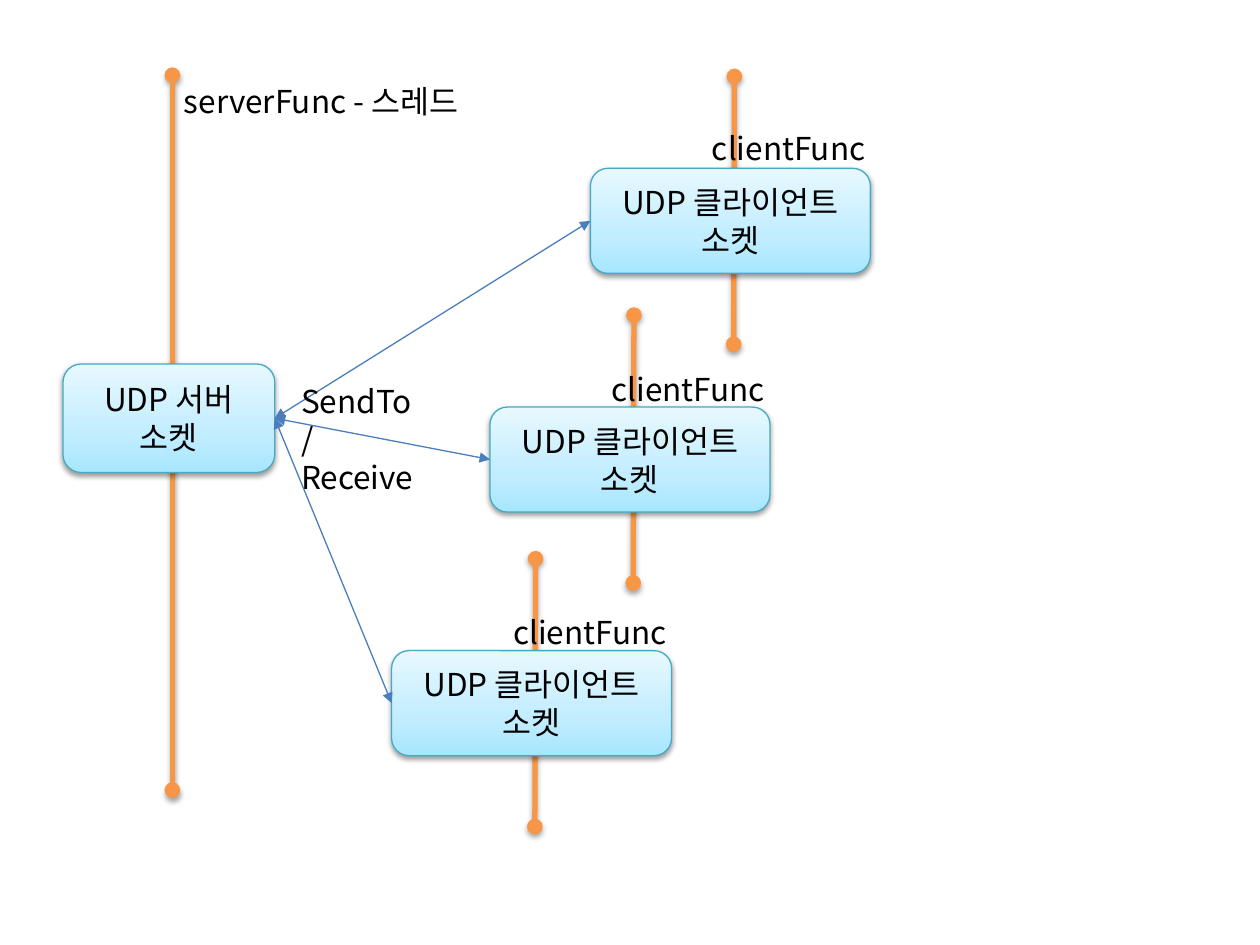
from lxml import etree
from pptx import Presentation
from pptx import util as u
from pptx.dml.color import RGBColor
from pptx.enum import shapes, text
from pptx.oxml import ns

ORANGE = RGBColor(0xF7, 0x96, 0x46)
BLUE = RGBColor(0x4B, 0x7E, 0xBC)
TEAL = RGBColor(0x46, 0xAA, 0xC5)
BLACK = RGBColor(0, 0, 0)
BOX_STOPS = [
    (0, RGBColor(0xA7, 0xE6, 0xFF)),
    (35, RGBColor(0xC1, 0xED, 0xFF)),
    (100, RGBColor(0xE7, 0xF8, 0xFF)),
]
FONT = "Noto Sans CJK KR"
TEXT_FORMAT = {"name": FONT, "size": u.Pt(18)}
CLIENT_SIZE = (160, 60)


def add_xml(parent, tag, **values):
    return etree.SubElement(parent, ns.qn(tag), values)


def set_shadow(shape, opacity=None, distance=None):
    effects = add_xml(shape._element.spPr, "a:effectLst")
    if opacity:
        shadow = add_xml(effects, "a:outerShdw", blurRad=str(u.Pt(3.1)),
                         dist=str(u.Pt(distance)), dir="5400000", rotWithShape="0")
        color = add_xml(shadow, "a:srgbClr", val=str(BLACK))
        add_xml(color, "a:alpha", val=str(opacity * 1000))


def write(shape, words, **frame_format):
    frame = shape.text_frame
    for name, value in frame_format.items():
        setattr(frame, name, value)
    para = frame.paragraphs[0]
    span = para.add_run()
    span.text = words
    for name, value in TEXT_FORMAT.items():
        setattr(span.font, name, value)
    span.font.color.rgb = BLACK
    add_xml(span._r.get_or_add_rPr(), "a:ea", typeface=FONT)
    return para


def add_label(page, words, left, top, width, height):
    label = page.shapes.add_textbox(*map(u.Pt, (left, top, width, height)))
    write(label, words, word_wrap=True)


def add_line(page, ends, color, weight, marker):
    line = page.shapes.add_connector(shapes.MSO_CONNECTOR.STRAIGHT, *map(u.Pt, ends))
    line.line.color.rgb = color
    line.line.width = u.Pt(weight)
    outline = line.line._get_or_add_ln()
    for end in ("a:headEnd", "a:tailEnd"):
        add_xml(outline, end, type=marker)
    return line


def add_lifeline(page, ends):
    set_shadow(add_line(page, ends, ORANGE, 3, "oval"), 35, 1.8)


def add_socket(page, words, left, top, width, height):
    socket = page.shapes.add_shape(shapes.MSO_SHAPE.ROUNDED_RECTANGLE,
                                   *map(u.Pt, (left, top, width, height)))
    gradient = add_xml(socket._element.spPr, "a:gradFill", rotWithShape="1")
    stops = add_xml(gradient, "a:gsLst")
    for position, color in BOX_STOPS:
        stop = add_xml(stops, "a:gs", pos=str(position * 1000))
        add_xml(stop, "a:srgbClr", val=str(color))
    add_xml(gradient, "a:lin", ang="16200000", scaled="0")
    socket.line.color.rgb = TEAL
    socket.line.width = u.Pt(0.75)
    set_shadow(socket, 38, 1.6)
    para = write(socket, words, word_wrap=True, vertical_anchor=text.MSO_ANCHOR.MIDDLE)
    para.alignment = text.PP_ALIGN.CENTER
    return socket


def add_server(page, left, top, width, height):
    center = left + 62.5
    add_lifeline(page, (center, top - 165, center, top + 243.5))
    return add_socket(page, "UDP 서버 소켓", left, top, width, height)


def add_client(page, left, top, width, height):
    center = left + 82.25
    add_lifeline(page, (center, top - 52.5, center - 0.4, top + 100.5))
    return add_socket(page, "UDP 클라이언트 소켓", left, top, width, height)


def add_message(page, client, server):
    arrow = add_line(page, (0, 0, 0, 0), BLUE, 0.75, "triangle")
    arrow.begin_connect(client, 1)
    arrow.end_connect(server, 3)
    set_shadow(arrow)


def main():
    deck = Presentation()
    deck.slide_width, deck.slide_height = u.Pt(720), u.Pt(540)
    page = deck.slides.add_slide(deck.slide_layouts[6])
    server = add_server(page, 36, 208, 121, 62)
    places = [(337.4, 96.2, 70), (280, 232.6, 208), (223.8, 371.8, 347)]
    for left, top, label_top in places:
        client = add_client(page, left, top, *CLIENT_SIZE)
        add_message(page, client, server)
        add_label(page, "clientFunc", left + 62.4, label_top, 103, 29)
    add_label(page, "SendTo/Receive", 165, 215, 83, 51)
    add_label(page, "serverFunc - 스레드", 98, 43.5, 182, 29)
    deck.save("out.pptx")


if __name__ == "__main__":
    main()
